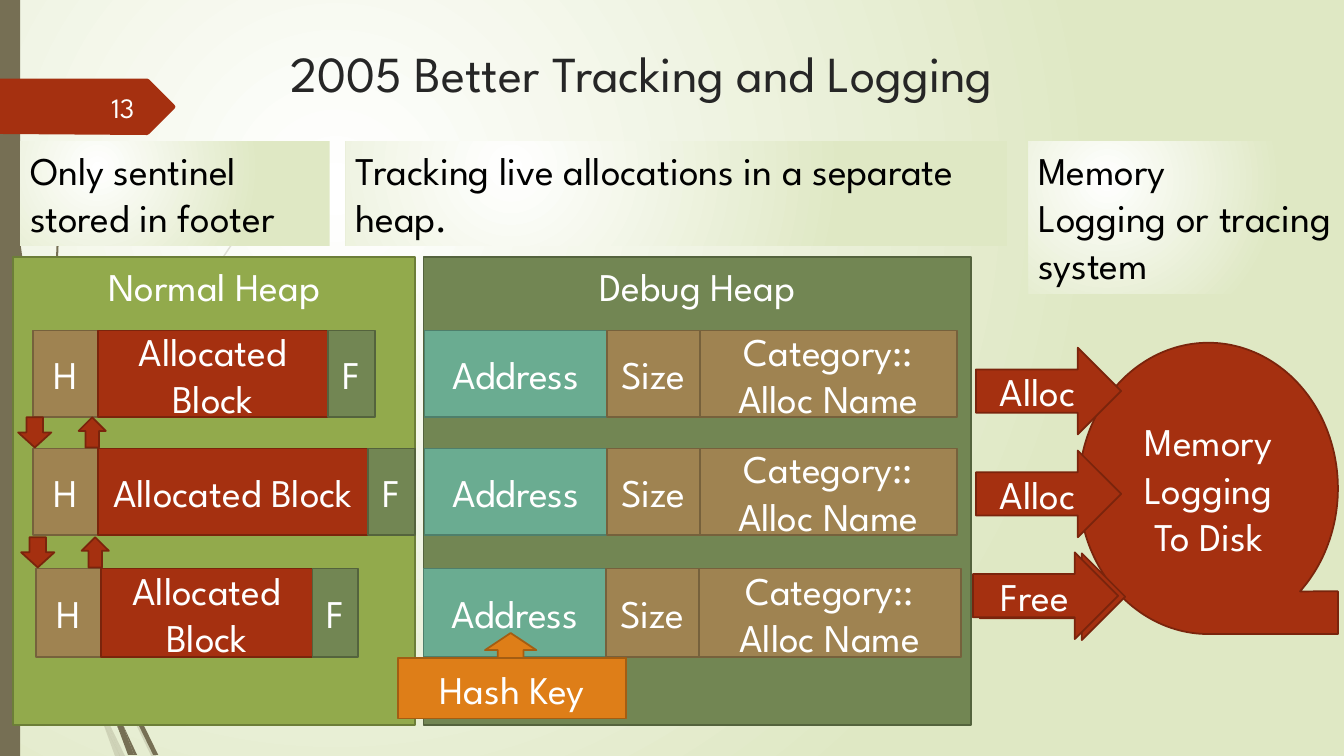
import pptx
import pptx.dml.color
import pptx.enum.shapes
import pptx.enum.text
import pptx.oxml
import pptx.oxml.ns
import pptx.util
from pptx.util import Inches

SHAPE = pptx.enum.shapes.MSO_SHAPE
ALIGN = pptx.enum.text.PP_ALIGN
ANCHOR = pptx.enum.text.MSO_ANCHOR
qn = pptx.oxml.ns.qn

FONT = "League Spartan"
WHITE, BLACK, TAUPE = "FFFFFF", "000000", "766F54"
RED, BROWN, TEAL = ("A53010", "7A240C"), ("9F8351", "76613C"), ("6AAC91", "4E7F6B")
MOSS, GREEN, ORANGE = ("728653", "54633D"), ("92AA4C", "6C7E38"), ("DE7E18", "A45D12")

# Outline points, in hundredths of an inch, of the grass blades on the left edge
PALE_BLADES = [
    [(92, 607), (88, 596), (88, 610), (123, 694), (150, 750), (155, 750), (127, 692)],
    [(119, 750), (124, 750), (105, 711)],
    [(88, 584), (110, 462), (160, 349), (229, 245), (268, 198), (290, 175), (312, 154),
     (312, 153), (289, 175), (268, 197), (228, 244), (158, 348), (107, 461), (85, 584), (88, 596)],
    [(101, 714), (114, 750), (119, 750)],
    [(96, 692), (93, 683), (99, 707), (101, 714), (119, 750), (105, 711)],
]
DARK_BLADES = [
    [(7, 110), (17, 233), (33, 355), (56, 477), (57, 481), (55, 453), (36, 355),
     (19, 232), (8, 109), (5, 48), (4, 0), (3, 0), (4, 48)],
    [(113, 649), (110, 641), (111, 656), (132, 708), (152, 749), (157, 749), (136, 706)],
    [(110, 691), (98, 657), (72, 556), (64, 505), (57, 477), (68, 557), (93, 659),
     (111, 708), (117, 722)],
    [(60, 472), (58, 453), (54, 349), (58, 245), (63, 193), (70, 141), (62, 193),
     (56, 245), (52, 349), (55, 449)],
    [(133, 749), (136, 749), (122, 719)],
    [(117, 722), (127, 749), (131, 749)],
    [(116, 706), (110, 691), (117, 722), (130, 749), (133, 749), (122, 719)],
]
NUMBER_TAG = [(0, 78), (146, 78), (148, 79), (173, 104), (174, 106), (173, 108),
              (148, 133), (146, 134), (0, 133)]


def rgb(color):
    return pptx.dml.color.RGBColor.from_string(color)


def glow(fill, parent):
    """Give the fill, which lies in the parent element, a round white glow."""
    fill.gradient()
    for stop, color in zip(fill.gradient_stops, (WHITE, "DFE8C4")):
        stop.color.rgb = rgb(color)
    grad = next(parent.iter(qn("a:gradFill")))
    grad.remove(grad.find(qn("a:lin")))
    grad.append(pptx.oxml.parse_xml(
        f'<a:path {pptx.oxml.ns.nsdecls("a")} path="circle">'
        '<a:fillToRect l="50000" t="50000" r="100000" b="100000"/></a:path>'))


def write(sp, lines, size=28, color=WHITE, align=ALIGN.CENTER, anchor=ANCHOR.MIDDLE):
    tf = sp.text_frame
    tf.word_wrap = True
    tf.vertical_anchor = anchor
    for i, line in enumerate(lines):
        p = tf.paragraphs[0] if i == 0 else tf.add_paragraph()
        p.alignment = align
        r = p.add_run()
        r.text = line
        r.font.name = FONT
        r.font.size = pptx.util.Pt(size)
        r.font.color.rgb = rgb(color)


def block(s, box, colors, *lines, kind=SHAPE.RECTANGLE, anchor=ANCHOR.MIDDLE):
    sp = s.shapes.add_shape(kind, *map(Inches, box))
    sp.shadow.inherit = False
    sp.fill.solid()
    sp.fill.fore_color.rgb = rgb(colors[0])
    sp.line.color.rgb = rgb(colors[1])
    sp.line.width = pptx.util.Pt(1.25)
    write(sp, lines, anchor=anchor)
    return sp


def outline(s, points, color, alpha=100):
    builder = s.shapes.build_freeform(*points[0], scale=Inches(.01))
    builder.add_line_segments(points[1:], close=True)
    sp = builder.convert_to_shape()
    sp.shadow.inherit = False
    sp.fill.solid()
    sp.fill.fore_color.rgb = rgb(color)
    sp.line.fill.background()
    if alpha < 100:
        clr = next(sp.element.spPr.iter(qn("a:srgbClr")))
        clr.append(pptx.oxml.parse_xml(
            f'<a:alpha {pptx.oxml.ns.nsdecls("a")} val="{alpha * 1000}"/>'))


def label(s, box, text, size, color, align, anchor):
    write(s.shapes.add_textbox(*map(Inches, box)), [text], size, color, align, anchor)


def note(s, box, *lines):
    sp = s.shapes.add_shape(SHAPE.RECTANGLE, *map(Inches, box))
    sp.shadow.inherit = False
    glow(sp.fill, sp.element.spPr)
    sp.line.fill.background()
    write(sp, lines, color=BLACK, align=ALIGN.LEFT, anchor=ANCHOR.TOP)


def backdrop(s, height):
    glow(s.background.fill, s.element)
    for blade in PALE_BLADES:
        outline(s, blade, TAUPE, 20)
    for blade in DARK_BLADES:
        outline(s, blade, TAUPE)
    block(s, (0, 0, .2, height), (TAUPE, TAUPE)).line.fill.background()
    outline(s, NUMBER_TAG, RED[0])


def cells(s, left, top, height, parts):
    """Place (width, colors, lines) parts side by side."""
    for width, colors, lines in parts:
        block(s, (left, top, width, height), colors, *lines)
        left += width


def normal_heap(s, box):
    x, y = box[:2]
    block(s, box, GREEN, "Normal Heap", anchor=ANCHOR.TOP)
    rows = [(.2, .73, .86, 2.28, .47), (.2, 1.9, .86, 2.68, .47), (.23, 3.09, .88, 2.1, .45)]
    for dx, dy, height, block_w, footer_w in rows:
        cells(s, x + dx, y + dy, height, [(.64, BROWN, ["H"]), (block_w, RED, ["Allocated Block"]),
                                          (footer_w, MOSS, ["F"])])
    for dx, dy in [(.05, 1.59), (.08, 2.78)]:
        block(s, (x + dx, y + dy, .33, .3), RED, kind=SHAPE.DOWN_ARROW)
        block(s, (x + dx + .6, y + dy, .27, .3), RED, kind=SHAPE.UP_ARROW)


def debug_heap(s, box):
    x, y = box[:2]
    block(s, box, MOSS, "Debug Heap", anchor=ANCHOR.TOP)
    for dx, dy, height, name_w in [(.01, .73, .86, 2.55), (.01, 1.9, .86, 2.55), (0, 3.09, .88, 2.6)]:
        cells(s, x + dx, y + dy, height, [(1.81, TEAL, ["Address"]), (.92, BROWN, ["Size"]),
                                          (name_w, BROWN, ["Category::", "Alloc Name"])])
    block(s, (x + .61, y + 3.73, .51, .34), ORANGE, kind=SHAPE.UP_ARROW)
    block(s, (x - .25, y + 3.98, 2.26, .6), ORANGE, "Hash Key")


def logging_system(s, box):
    x, y, width, height = box
    block(s, (x + 1.05, y, width - 1.05, height), RED, "Memory", "Logging", "To Disk",
          kind=SHAPE.FLOWCHART_SEQUENTIAL_ACCESS_STORAGE)
    arrows = [(.03, .05, ["Alloc"]), (.03, 1.07, ["Alloc"]), (.07, 2.09, []), (0, 2.08, ["Free"])]
    for dx, dy, lines in arrows:
        block(s, (x + dx, y + dy, 1.44, .86), RED, *lines, kind=SHAPE.RIGHT_ARROW)


def main():
    prs = pptx.Presentation()
    prs.slide_width, prs.slide_height = Inches(13.33), Inches(7.5)
    s = prs.slides.add_slide(prs.slide_layouts[6])
    backdrop(s, 7.5)
    label(s, (2.78, .37, 9.75, 1.4), "2005 Better Tracking and Logging", 36, "262626", ALIGN.LEFT, ANCHOR.TOP)
    label(s, (.58, .86, .85, .4), "13", 20, "FEFFFF", ALIGN.RIGHT, ANCHOR.MIDDLE)
    normal_heap(s, (.13, 2.55, 3.99, 4.64))
    debug_heap(s, (4.2, 2.55, 5.43, 4.64))
    logging_system(s, (9.65, 3.4, 3.62, 2.89))
    note(s, (.2, 1.4, 3.07, 1.04), "Only sentinel", "stored in footer")
    note(s, (3.43, 1.4, 6.56, 1.04), "Tracking live allocations in a separate heap.")
    note(s, (10.2, 1.4, 3.13, 1.51), "Memory", "Logging or tracing system")
    prs.save("out.pptx")


if __name__ == "__main__":
    main()
